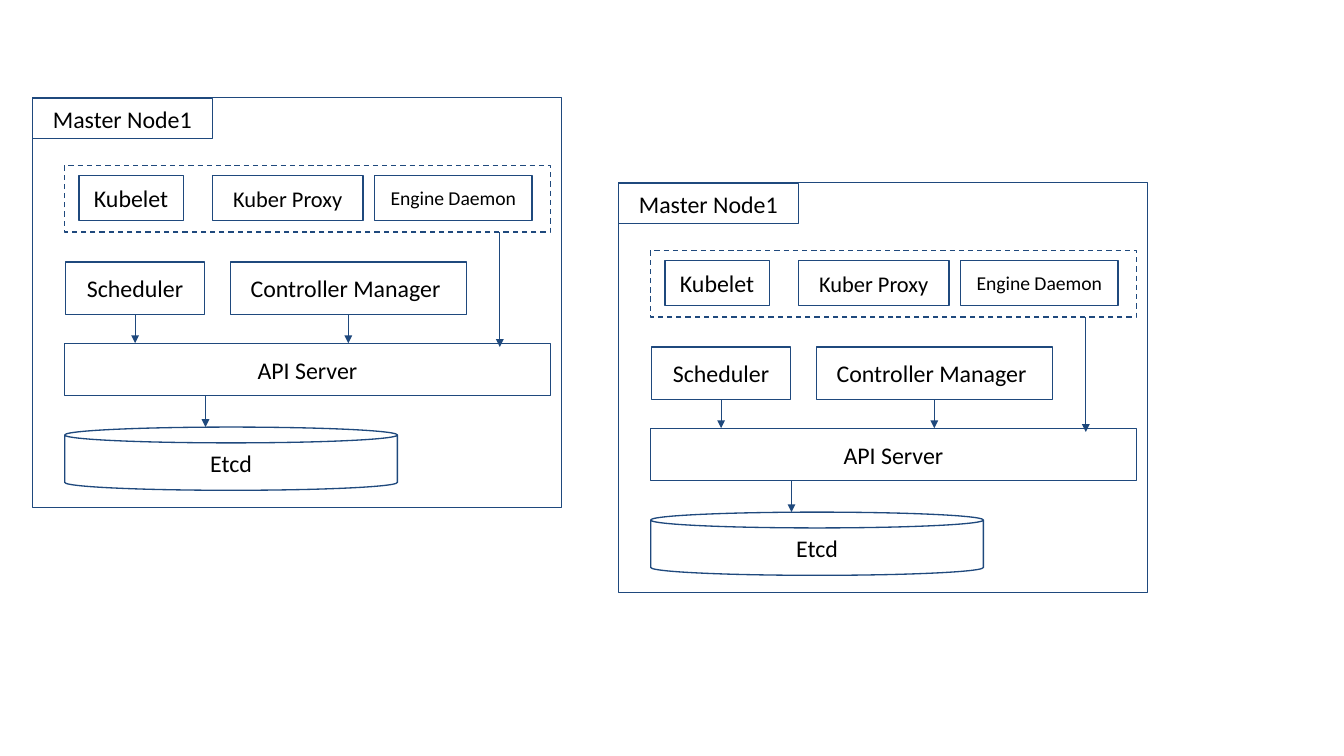
from pptx import Presentation
from pptx.dml.color import RGBColor
from pptx.enum.dml import MSO_LINE as Dash
from pptx.enum.shapes import MSO_CONNECTOR as Link, MSO_SHAPE as Kind
from pptx.enum.text import MSO_ANCHOR as Anchor, PP_ALIGN as Align
from pptx.oxml.ns import qn
from pptx.util import Cm, Pt
from lxml.etree import SubElement

NAVY = "1F497D"
BLACK = "000000"
ROW = 1.4


def color(code):
    return RGBColor.from_string(code)


def add_box(shapes, left, top, width, height, text="", size=18, kind=Kind.RECTANGLE, weight=1):
    box = shapes.add_shape(kind, Cm(left), Cm(top), Cm(width), Cm(height))
    box.shadow.inherit = False
    box.fill.background()
    box.line.color.rgb = color(NAVY)
    box.line.width = Pt(weight)
    if text:
        frame = box.text_frame
        frame.text = text
        frame.word_wrap = True
        frame.vertical_anchor = Anchor.MIDDLE
        para = frame.paragraphs[0]
        para.alignment = Align.CENTER
        font = para.runs[0].font
        font.name = "Calibri"
        font.size = Pt(size)
        font.color.rgb = color(BLACK)
    return box


def add_arrow(shapes, left, top, end):
    arrow = shapes.add_connector(Link.STRAIGHT, Cm(left), Cm(top), Cm(left), Cm(end))
    arrow.line.color.rgb = color(NAVY)
    arrow.line.width = Pt(0.5)
    SubElement(arrow.line._get_or_add_ln(), qn("a:tailEnd"), type="triangle")
    SubElement(arrow._element.spPr, qn("a:effectLst"))


def add_frame(shapes, left, top, width, height):
    group = shapes.add_group_shape().shapes
    add_box(group, left, top, width, height)
    add_box(group, left, top + 0.03, 4.78, 1.07, "Master Node1")


def add_tray(shapes, left, top, width, height):
    group = shapes.add_group_shape().shapes
    agents = [
        (0.38, 2.77, "Kubelet", 18),
        (3.92, 4.01, "Kuber Proxy", 16.9),
        (8.23, 4.19, "Engine Daemon", 14.8),
    ]
    for shift, span, text, size in agents:
        add_box(group, left + shift, top + 0.28, span, 1.19, text, size)
    edge = add_box(group, left, top, width, height)
    edge.line.dash_style = Dash.DASH


def add_node(shapes, left, top, width, height):
    inset = left + 0.86
    inner = width - 1.17
    tray = top + 1.8
    depth = 1.78
    tasks = top + 4.37
    server = top + 6.53
    store = top + 8.76

    add_frame(shapes, left, top, width, height)
    add_box(shapes, inset, server, inner, ROW, "API Server", weight=0.75)
    add_box(shapes, inset, store, 8.84, 1.68, "Etcd", kind=Kind.CAN)
    for shift, span, text in [(0.89, 3.68, "Scheduler"), (5.26, 6.27, "Controller Manager ")]:
        add_box(shapes, left + shift, tasks, span, ROW, text)
        add_arrow(shapes, left + shift + span / 2, tasks + ROW, server)
    add_tray(shapes, inset, tray, inner, depth)
    add_arrow(shapes, left + 4.6, server + ROW, store)
    add_arrow(shapes, left + 12.42, tray + depth, server + 0.1)


deck = Presentation()
deck.slide_width = Cm(35.71)
deck.slide_height = Cm(20.09)
slide = deck.slides.add_slide(deck.slide_layouts[6])
for left, top in [(0.86, 2.59), (16.43, 4.85)]:
    add_node(slide.shapes, left, top, 14.07, 10.9)
deck.save("out.pptx")
